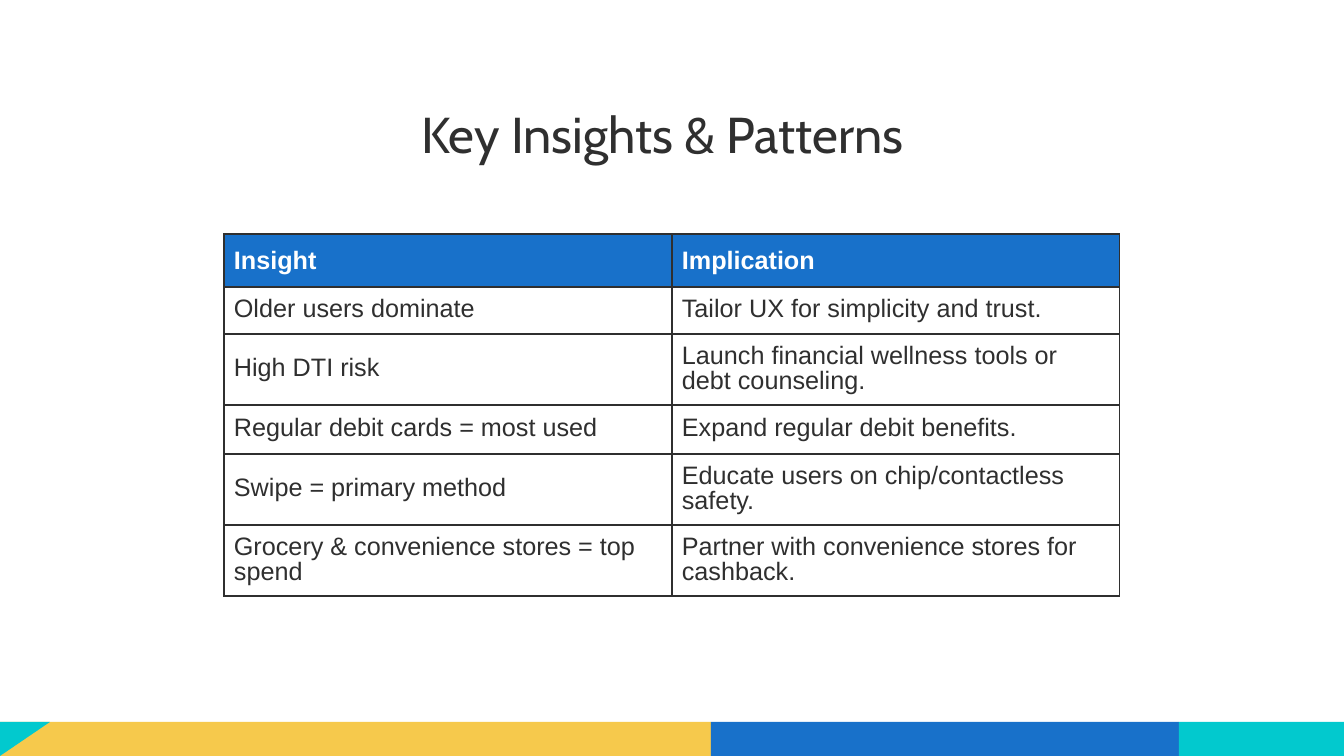
from lxml.etree import SubElement
from pptx import Presentation
from pptx.dml.color import RGBColor
from pptx.enum.shapes import MSO_SHAPE as Shape
from pptx.enum.text import MSO_ANCHOR as Anchor, PP_ALIGN as Align
from pptx.oxml.ns import qn
from pptx.util import Emu, Pt

INK, WHITE = "2F2F2F", "FFFFFF"
YELLOW, BLUE, TEAL = "F6C94C", "1871CA", "02C9CE"
PAGE_WIDTH, PAGE_HEIGHT = 1344, 756
STRIPE_TOP = 722

ROWS = [
    ("Insight", "Implication"),
    ("Older users dominate", "Tailor UX for simplicity and trust."),
    ("High DTI risk", "Launch financial wellness tools or debt counseling."),
    ("Regular debit cards = most used", "Expand regular debit benefits."),
    ("Swipe = primary method", "Educate users on chip/contactless safety."),
    ("Grocery & convenience stores = top spend",
     "Partner with convenience stores for cashback."),
]
ROW_HEIGHTS = [53, 47, 71, 49, 71, 71]
COLUMN_WIDTH = 448


def px(length):
    return Emu(round(length * 914400 / 100.8))


def color(value):
    return RGBColor.from_string(value)


def paint(shape, fill):
    shape.shadow.inherit = False
    shape.fill.solid()
    shape.fill.fore_color.rgb = color(fill)
    shape.line.fill.background()


def add_band(page, left, right, fill):
    band = page.shapes.add_shape(
        Shape.RECTANGLE, px(left), px(STRIPE_TOP),
        px(right - left), px(PAGE_HEIGHT - STRIPE_TOP))
    paint(band, fill)


def add_corner(page, width, fill):
    outline = page.shapes.build_freeform(0, STRIPE_TOP, scale=px(1))
    outline.add_line_segments([(width, STRIPE_TOP), (0, PAGE_HEIGHT)])
    paint(outline.convert_to_shape(), fill)


def add_span(para, text, size, font, fill, bold=False):
    span = para.add_run()
    span.text = text
    span.font.size = Pt(size)
    span.font.name = font
    span.font.bold = bold
    span.font.color.rgb = color(fill)


def set_title(page, text):
    title = page.shapes.title
    title.left, title.top, title.width, title.height = map(px, (145, 71, 1035, 125))
    frame = title.text_frame
    frame.word_wrap = True
    frame.vertical_anchor = Anchor.MIDDLE
    frame.margin_left = frame.margin_right = 0
    frame.margin_top = frame.margin_bottom = 0
    para = frame.paragraphs[0]
    para.alignment = Align.CENTER
    add_span(para, text, 36, "Cabin", INK)


def add_borders(cell):
    # Border lines come before the fill in the cell properties
    properties = cell._tc.get_or_add_tcPr()
    for index, side in enumerate(("a:lnL", "a:lnR", "a:lnT", "a:lnB")):
        line = SubElement(properties, qn(side), w=str(Pt(1)))
        fill = SubElement(line, qn("a:solidFill"))
        SubElement(fill, qn("a:srgbClr"), val=INK)
        properties.insert(index, line)


def fill_cell(cell, text, is_header):
    cell.vertical_anchor = Anchor.MIDDLE
    cell.margin_left = cell.margin_right = px(10)
    cell.margin_top = cell.margin_bottom = px(5 if is_header else 10)
    para = cell.text_frame.paragraphs[0]
    if is_header:
        cell.fill.solid()
        cell.fill.fore_color.rgb = color(BLUE)
    else:
        cell.fill.background()
        para.line_spacing = Pt(18)
    add_span(para, text, 18, "Arial", WHITE if is_header else INK, is_header)
    add_borders(cell)


def add_insight_table(page):
    columns = len(ROWS[0])
    table = page.shapes.add_table(
        len(ROWS), columns, px(224), px(234),
        px(COLUMN_WIDTH * columns), px(sum(ROW_HEIGHTS))).table
    table.horz_banding = False
    for column in table.columns:
        column.width = px(COLUMN_WIDTH)
    for row_index, texts in enumerate(ROWS):
        table.rows[row_index].height = px(ROW_HEIGHTS[row_index])
        for column_index, text in enumerate(texts):
            fill_cell(table.cell(row_index, column_index), text, row_index == 0)


def main():
    deck = Presentation()
    deck.slide_width, deck.slide_height = px(PAGE_WIDTH), px(PAGE_HEIGHT)
    page = deck.slides.add_slide(deck.slide_layouts[5])

    # Coloured stripe along the bottom
    add_band(page, 0, 711, YELLOW)
    add_corner(page, 50, TEAL)
    add_band(page, 711, 1179, BLUE)
    add_band(page, 1179, PAGE_WIDTH, TEAL)

    # Heading and table
    set_title(page, "Key Insights & Patterns")
    add_insight_table(page)

    deck.save("out.pptx")


if __name__ == "__main__":
    main()
